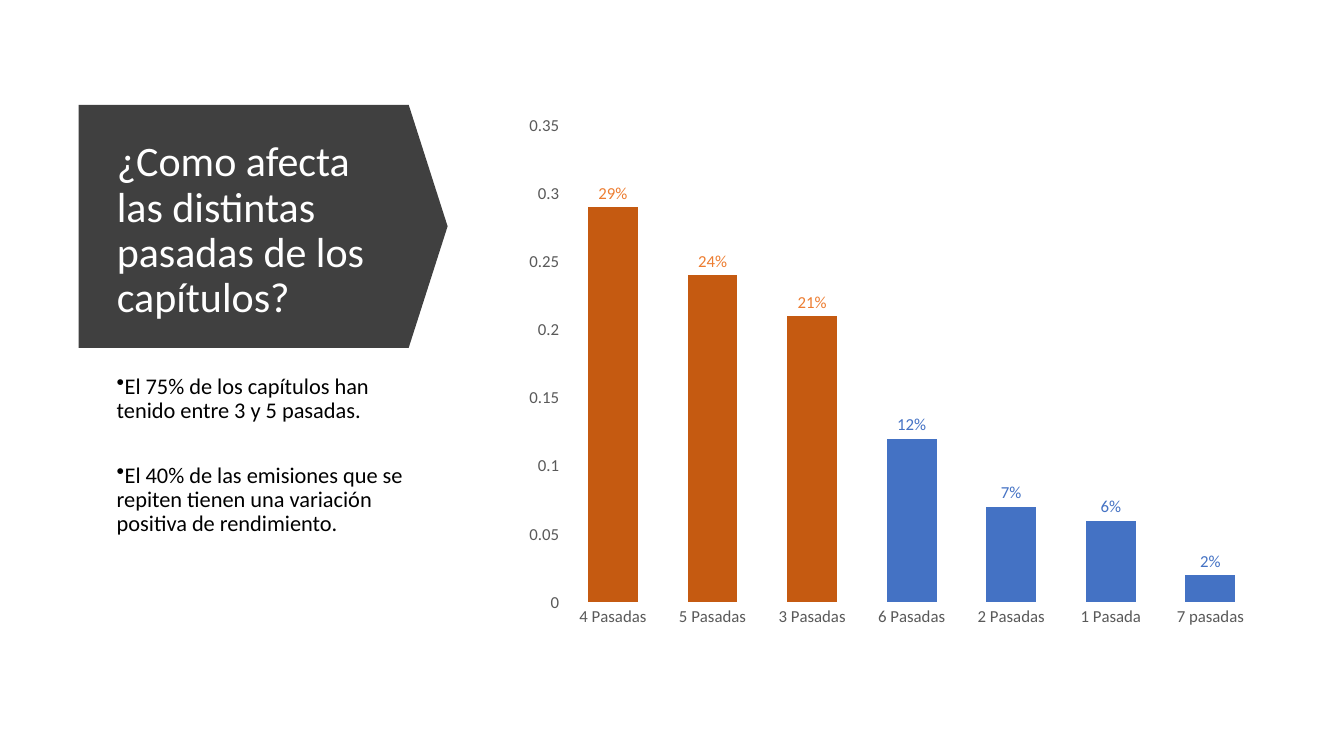
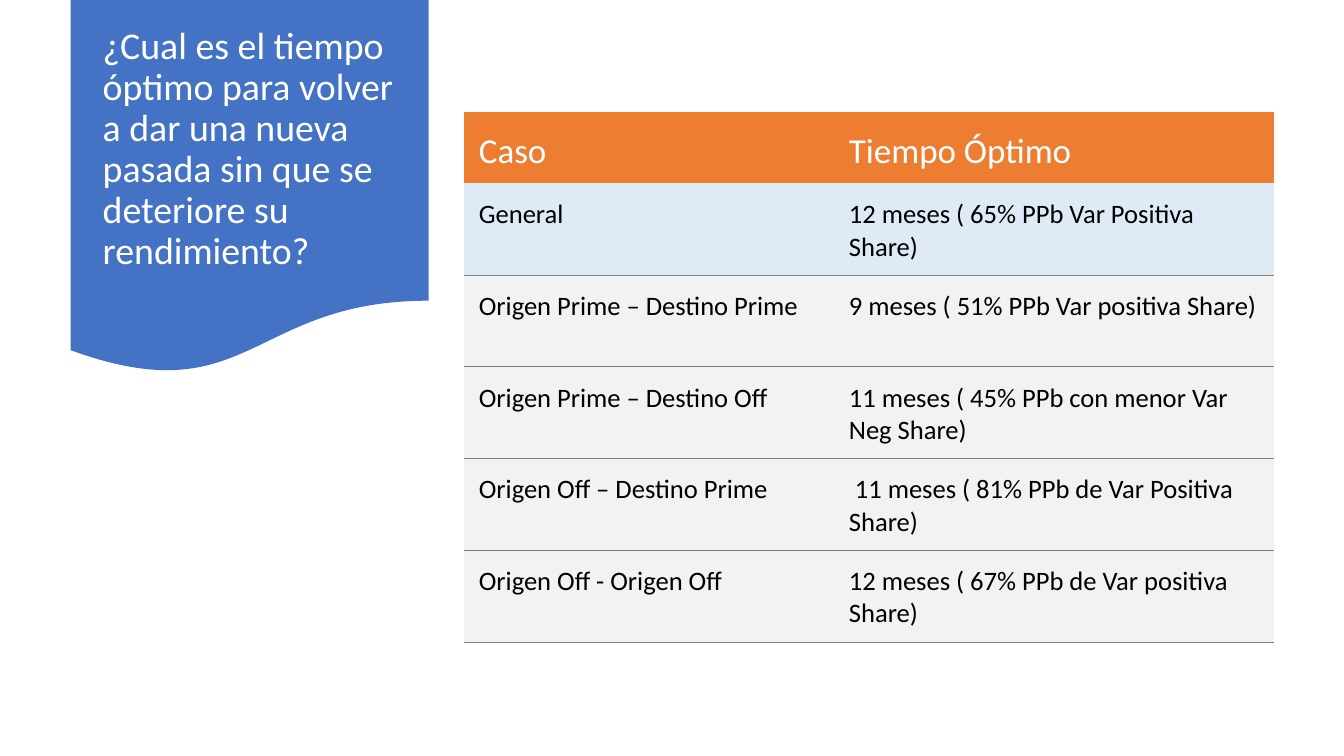
from lxml import etree
from pptx import Presentation
from pptx.chart.data import CategoryChartData
from pptx.dml.color import RGBColor
from pptx.enum.chart import XL_CHART_TYPE, XL_LABEL_POSITION, XL_TICK_MARK
from pptx.enum.shapes import MSO_SHAPE
from pptx.enum.text import MSO_ANCHOR
from pptx.oxml.ns import qn
from pptx.util import Inches, Pt

COLUMN_CLUSTERED = XL_CHART_TYPE.COLUMN_CLUSTERED
OUTSIDE_END = XL_LABEL_POSITION.OUTSIDE_END
NO_TICKS = XL_TICK_MARK.NONE
PENTAGON = MSO_SHAPE.PENTAGON
DOCUMENT = MSO_SHAPE.FLOWCHART_DOCUMENT
TOP, MIDDLE = MSO_ANCHOR.TOP, MSO_ANCHOR.MIDDLE

FONT = "Calibri"
WHITE, BLACK = "FFFFFF", "000000"
CHARCOAL, AXIS_GRAY, RULE_GRAY, PALE_GRAY = "404040", "595959", "808080", "F2F2F2"
BLUE, PALE_BLUE = "4472C4", "DEEBF7"
ORANGE, DARK_ORANGE = "ED7D31", "C55A11"
PLAIN_TABLE_STYLE = "{2D5ABB26-0587-4C30-8999-92F81FD0307C}"

PASS_SHARES = {
    "4 Pasadas": 0.29,
    "5 Pasadas": 0.24,
    "3 Pasadas": 0.21,
    "6 Pasadas": 0.12,
    "2 Pasadas": 0.07,
    "1 Pasada": 0.06,
    "7 pasadas": 0.02,
}
HIGHLIGHTED_COLUMNS = 3

OPTIMAL_TIMES = [
    ("Caso", "Tiempo Óptimo"),
    ("General", "12 meses ( 65% PPb Var Positiva Share)"),
    ("Origen Prime – Destino Prime", "9 meses ( 51% PPb Var positiva Share)"),
    ("Origen Prime – Destino Off", "11 meses ( 45% PPb con menor Var Neg Share)"),
    ("Origen Off – Destino Prime", " 11 meses ( 81% PPb de Var Positiva Share)"),
    ("Origen Off - Origen Off", "12 meses ( 67% PPb de Var positiva Share)"),
]


def color(hex_value):
    return RGBColor.from_string(hex_value)


def fill_solid(target, hex_value):
    target.fill.solid()
    target.fill.fore_color.rgb = color(hex_value)


def style_font(font, size, hex_value):
    font.name = FONT
    font.size = Pt(size)
    font.color.rgb = color(hex_value)


def add_run(paragraph, text, size, hex_value):
    run = paragraph.add_run()
    run.text = text
    style_font(run.font, size, hex_value)


def add_bullet(paragraph):
    properties = paragraph._p.get_or_add_pPr()
    properties.set("marL", "0")
    properties.set("indent", "0")
    etree.SubElement(properties, qn("a:buChar")).set("char", "•")


def add_bottom_border(cell, hex_value, width):
    line = etree.Element(qn("a:lnB"), w=str(Pt(width)))
    solid = etree.SubElement(line, qn("a:solidFill"))
    etree.SubElement(solid, qn("a:srgbClr")).set("val", hex_value)
    cell._tc.get_or_add_tcPr().insert(0, line)


class Deck:
    """Holds the presentation, its style and the current slide."""

    def __init__(self):
        self.presentation = Presentation()
        self.presentation.slide_width = Inches(13.33)
        self.presentation.slide_height = Inches(7.5)
        self.slide = None

    def add_slide(self):
        self.slide = self.presentation.slides.add_slide(self.presentation.slide_layouts[6])

    def add_banner(self, preset, box, hex_value):
        banner = self.slide.shapes.add_shape(preset, *map(Inches, box))
        banner.shadow.inherit = False
        fill_solid(banner, hex_value)
        banner.line.fill.background()
        return banner

    def add_text(self, box, texts, size, hex_value, anchor=TOP, space_after=6, bullets=False):
        frame = self.slide.shapes.add_textbox(*map(Inches, box)).text_frame
        frame.word_wrap = True
        frame.vertical_anchor = anchor
        for index, text in enumerate(texts):
            paragraph = frame.add_paragraph() if index else frame.paragraphs[0]
            paragraph.line_spacing = 0.9
            paragraph.space_after = Pt(space_after)
            if bullets:
                add_bullet(paragraph)
            add_run(paragraph, text, size, hex_value)

    def add_title(self, box, text, size):
        self.add_text(box, [text], size, WHITE, anchor=MIDDLE)

    def add_share_chart(self, box, shares, highlighted):
        """Column chart whose first columns are highlighted in orange."""
        data = CategoryChartData()
        data.categories = list(shares)
        data.add_series("Series 1", list(shares.values()))
        chart = self.slide.shapes.add_chart(COLUMN_CLUSTERED, *map(Inches, box), data).chart
        chart.has_legend = False
        chart.has_title = False
        style_font(chart.font, 12, AXIS_GRAY)
        for axis in (chart.category_axis, chart.value_axis):
            axis.has_major_gridlines = False
            axis.major_tick_mark = NO_TICKS
            axis.format.line.fill.background()
            style_font(axis.tick_labels.font, 12, AXIS_GRAY)
        chart.value_axis.minimum_scale = 0
        chart.value_axis.maximum_scale = 0.35
        chart.value_axis.major_unit = 0.05

        plot = chart.plots[0]
        plot.gap_width = 100
        plot.vary_by_categories = False
        series = plot.series[0]
        fill_solid(series.format, BLUE)
        for index, share in enumerate(shares.values()):
            is_highlighted = index < highlighted
            point = series.points[index]
            fill_solid(point.format, DARK_ORANGE if is_highlighted else BLUE)
            label = point.data_label
            paragraph = label.text_frame.paragraphs[0]
            add_run(paragraph, f"{share:.0%}", 12, ORANGE if is_highlighted else BLUE)
            label.position = OUTSIDE_END

    def add_table(self, left, top, widths, heights, rows):
        """Table with an orange header, a pale blue first row and ruled gray rows."""
        box = (left, top, sum(widths), sum(heights))
        table = self.slide.shapes.add_table(len(rows), len(widths), *map(Inches, box)).table
        table.horz_banding = False
        table._tbl.tblPr.find(qn("a:tableStyleId")).text = PLAIN_TABLE_STYLE
        for column, width in zip(table.columns, widths):
            column.width = Inches(width)
        for row, height in zip(table.rows, heights):
            row.height = Inches(height)
        for row_index, texts in enumerate(rows):
            is_header = row_index == 0
            fill = {0: ORANGE, 1: PALE_BLUE}.get(row_index, PALE_GRAY)
            for column_index, text in enumerate(texts):
                cell = table.cell(row_index, column_index)
                cell.margin_left = cell.margin_right = cell.margin_top = Inches(0.15)
                cell.margin_bottom = Inches(0.08)
                cell.vertical_anchor = MIDDLE if is_header else TOP
                fill_solid(cell, fill)
                size, text_color = (25, WHITE) if is_header else (19, BLACK)
                add_run(cell.text_frame.paragraphs[0], text, size, text_color)
                if not is_header:
                    add_bottom_border(cell, RULE_GRAY, 0.75)


def build_passes_slide(deck):
    deck.add_slide()
    banner = deck.add_banner(PENTAGON, (0.78, 1.04, 3.66, 2.41), CHARCOAL)
    banner.adjustments[0] = 0.16
    deck.add_title((1.06, 1.32, 2.92, 1.95),
                   "¿Como afecta las distintas pasadas de los capítulos?", 30)
    findings = [
        "El 75% de los capítulos han tenido entre 3 y 5 pasadas.",
        "El 40% de las emisiones que se repiten tienen una variación positiva de rendimiento.",
    ]
    deck.add_text((1.06, 3.67, 3.06, 3.01), findings, 16, BLACK, space_after=29, bullets=True)
    deck.add_share_chart((5.1, 1.04, 7.55, 5.28), PASS_SHARES, HIGHLIGHTED_COLUMNS)


def build_optimal_time_slide(deck):
    deck.add_slide()
    deck.add_banner(DOCUMENT, (0.7, 0, 3.55, 3.72), BLUE)
    deck.add_title(
        (0.92, 0.19, 3.11, 2.59),
        "¿Cual es el tiempo óptimo para volver a dar una nueva pasada "
        "sin que se deteriore su rendimiento?",
        27,
    )
    heights = [0.71] + [0.91] * (len(OPTIMAL_TIMES) - 1)
    deck.add_table(4.6, 1.11, [3.67, 4.37], heights, OPTIMAL_TIMES)


def main():
    deck = Deck()
    build_passes_slide(deck)
    build_optimal_time_slide(deck)
    deck.presentation.save("out.pptx")


if __name__ == "__main__":
    main()
